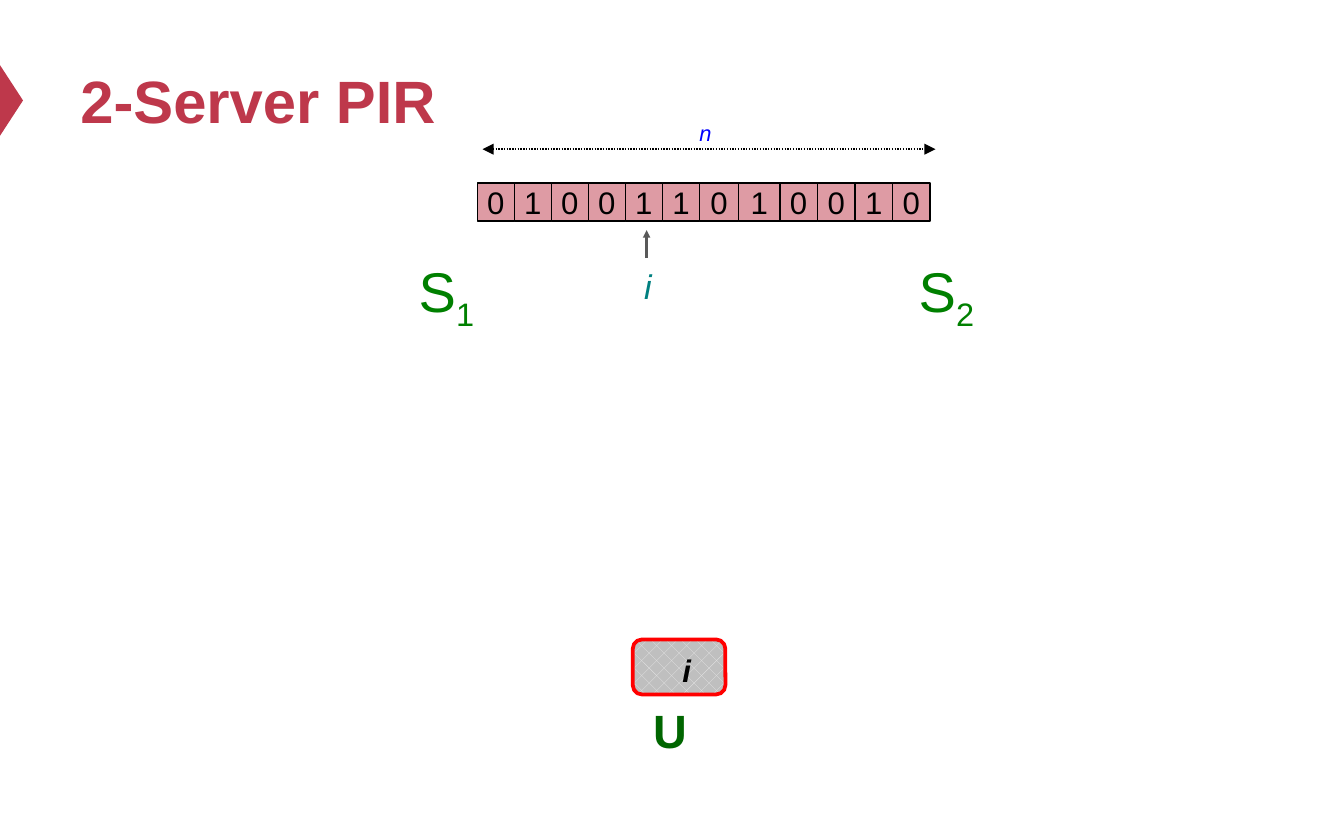
"""Builds the slide that introduces two-server private information retrieval."""
from lxml import etree
from pptx import Presentation
from pptx.dml.color import RGBColor
from pptx.enum.dml import MSO_LINE, MSO_PATTERN
from pptx.enum.shapes import MSO_CONNECTOR, MSO_SHAPE
from pptx.enum.text import MSO_ANCHOR, PP_ALIGN
from pptx.oxml.ns import qn
from pptx.util import Cm, Pt

LEFT, CENTER, RIGHT = PP_ALIGN.LEFT, PP_ALIGN.CENTER, PP_ALIGN.RIGHT
MIDDLE, TOP = MSO_ANCHOR.MIDDLE, MSO_ANCHOR.TOP
RECTANGLE, ROUNDED, TRIANGLE = (
    MSO_SHAPE.RECTANGLE, MSO_SHAPE.ROUNDED_RECTANGLE, MSO_SHAPE.ISOSCELES_TRIANGLE)
STRAIGHT = MSO_CONNECTOR.STRAIGHT
DOTTED = MSO_LINE.ROUND_DOT
QUARTER_DOTS = MSO_PATTERN.PERCENT_25

FONT = "Arial"
CRIMSON, BLACK, GREEN, DARK_GREEN = "BE384B", "000000", "008000", "006600"
TEAL, BLUE, RED, GREY = "008080", "0000FF", "FF0000", "595959"


def color(value):
    """Turn a hex string into a colour."""
    return RGBColor.from_string(value)


class Canvas:
    """Holds the text style and the slide being drawn."""

    def __init__(self, slide, font):
        self.slide = slide
        self.font = font

    def style(self, run, size, hue, bold=False, italic=False):
        """Format one run."""
        run.font.name = self.font
        run.font.size = Pt(size)
        run.font.color.rgb = color(hue)
        run.font.bold = bold
        run.font.italic = italic

    def label(self, box, text, size, hue, align=CENTER, subscript="",
              anchor=TOP, inset=0.13, **emphasis):
        """Add a text box, with an optional subscript after the text."""
        frame = self.slide.shapes.add_textbox(*map(Cm, box)).text_frame
        frame.word_wrap = True
        frame.vertical_anchor = anchor
        frame.margin_left = frame.margin_right = Cm(inset)
        frame.margin_top = frame.margin_bottom = Cm(0.13)
        frame.text = text
        paragraph = frame.paragraphs[0]
        paragraph.alignment = align
        if subscript:
            lowered = paragraph.add_run()
            lowered.text = subscript
            lowered._r.get_or_add_rPr().set("baseline", "-25000")
        for run in paragraph.runs:
            self.style(run, size, hue, **emphasis)

    def shape(self, kind, box, fill=None, line=None, width=0.75):
        """Add a preset shape with a plain fill and outline."""
        shape = self.slide.shapes.add_shape(kind, *map(Cm, box))
        shape.shadow.inherit = False
        if fill:
            shape.fill.solid()
            shape.fill.fore_color.rgb = color(fill)
        if line:
            shape.line.color.rgb = color(line)
            shape.line.width = Pt(width)
        else:
            shape.line.fill.background()
        return shape

    def bit(self, box, digit):
        """Add one half-transparent cell of the database."""
        cell = self.shape(RECTANGLE, box, CRIMSON, BLACK)
        tint = cell.fill._xPr.find(qn("a:solidFill"))[0]
        etree.SubElement(tint, qn("a:alpha"), val="50000")
        frame = cell.text_frame
        frame.word_wrap = False
        frame.vertical_anchor = MIDDLE
        frame.text = digit
        frame.paragraphs[0].alignment = CENTER
        self.style(frame.paragraphs[0].runs[0], 16.7, BLACK)

    def arrow(self, ends, hue, width, heads, head_size="med", dash=None):
        """Add a straight line with arrowheads at the named ends."""
        line = self.slide.shapes.add_connector(STRAIGHT, *map(Cm, ends))
        line.line.color.rgb = color(hue)
        line.line.width = Pt(width)
        if dash:
            line.line.dash_style = dash
        outline = line.line._get_or_add_ln()
        for head in heads:
            etree.SubElement(outline, qn(f"a:{head}"), type="triangle",
                             w=head_size, len=head_size)
        etree.SubElement(line._element.spPr, qn("a:effectLst"))


def main():
    """Draw the servers, the database and the user."""
    deck = Presentation()
    deck.slide_width, deck.slide_height = Cm(25.4), Cm(15.88)
    canvas = Canvas(deck.slides.add_slide(deck.slide_layouts[6]), FONT)

    marker = canvas.shape(TRIANGLE, (-0.46, 1.68, 1.35, 0.44), CRIMSON)
    marker.rotation = 90
    canvas.label((1.27, 0.64, 22.86, 2.49), "2-Server PIR", 32, CRIMSON,
                 LEFT, anchor=MIDDLE, inset=0.25, bold=True)

    canvas.label((12.32, 2.13, 2.03, 0.71), "n", 11.7, BLUE, italic=True)
    canvas.arrow((9.12, 2.82, 17.68, 2.82), BLACK, 0.75,
                 ("headEnd", "tailEnd"), dash=DOTTED)

    bit_widths = [0.7] * 6 + [0.74, 0.78] + [0.71] * 4
    bit_left = 9.02
    for digit, bit_width in zip("010011010010", bit_widths):
        canvas.bit((bit_left, 3.46, bit_width, 0.72), digit)
        bit_left += bit_width

    canvas.arrow((12.22, 4.88, 12.22, 4.35), GREY, 2, ("tailEnd",), "sm")
    canvas.label((11.79, 4.88, 0.91, 0.91), "i", 18.3, TEAL, italic=True)

    for server, server_left in (("1", 6.17), ("2", 15.62)):
        canvas.label((server_left, 4.72, 2.92, 1.37), "S", 30, GREEN, RIGHT,
                     subscript=server)

    user = canvas.shape(ROUNDED, (11.96, 12.09, 1.75, 1.04), line=RED, width=2)
    user.fill.patterned()
    user.fill.pattern = QUARTER_DOTS
    user.fill.fore_color.rgb = color("E5E5E5")
    user.fill.back_color.rgb = color("BFBFBF")
    canvas.label((12.22, 12.19, 1.52, 1.04), "i", 16.7, BLACK, bold=True, italic=True)
    canvas.label((11.48, 13.13, 1.63, 1.09), "U", 25, DARK_GREEN, RIGHT, bold=True)

    deck.save("out.pptx")


if __name__ == "__main__":
    main()
